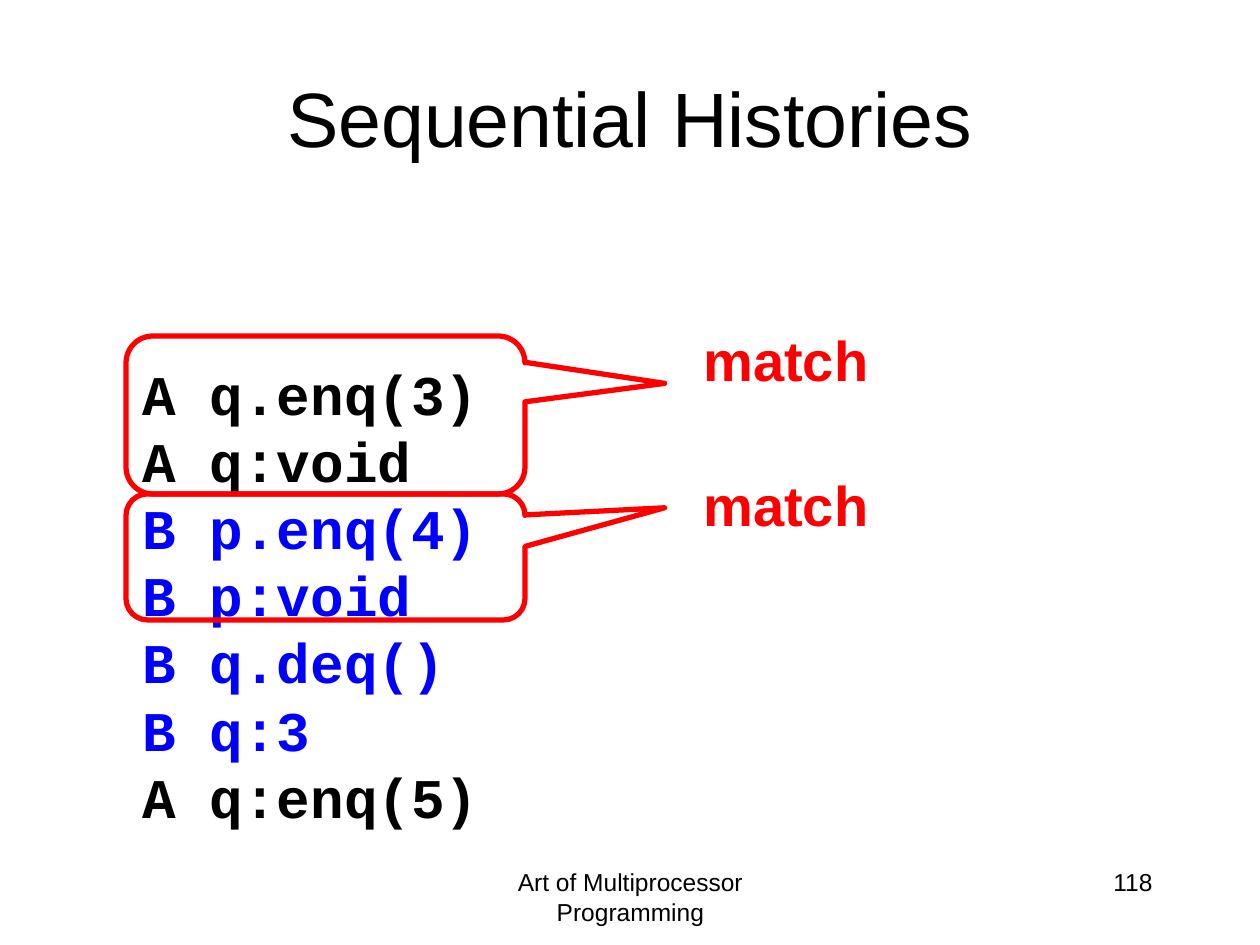
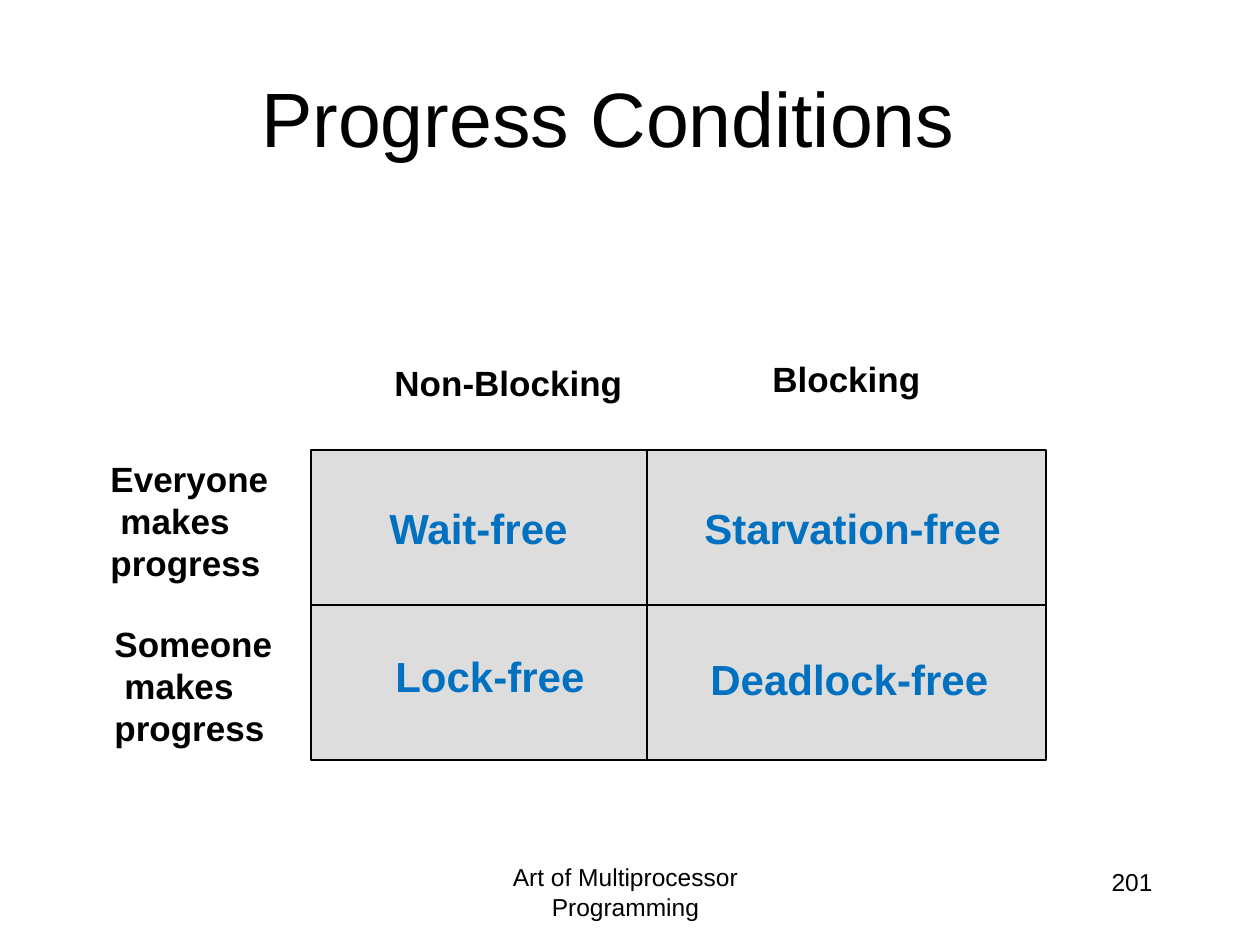
import pptx
import pptx.dml.color
import pptx.enum.shapes
import pptx.enum.text
import pptx.oxml
import pptx.oxml.ns
import pptx.util

EMU_PER_PX = 914400 / 126
TITLE_ONLY = 5
LINE_HEIGHT = 1.2

BLACK = pptx.dml.color.RGBColor(0x00, 0x00, 0x00)
RED = pptx.dml.color.RGBColor(0xFF, 0x00, 0x00)
BLUE = pptx.dml.color.RGBColor(0x00, 0x00, 0xFF)
SKY = pptx.dml.color.RGBColor(0x00, 0x70, 0xC0)
GREY = pptx.dml.color.RGBColor(0xDD, 0xDD, 0xDD)

SHAPES = pptx.enum.shapes.MSO_SHAPE
ALIGN = pptx.enum.text.PP_ALIGN
AUTO_SIZE = pptx.enum.text.MSO_AUTO_SIZE

TITLE_FORMAT = {"name": "Arial", "size": 44, "bold": False}
FOOTER_FORMAT = {"name": "Arial", "size": 14, "bold": False}
CODE_FORMAT = {"name": "Courier New", "size": 32, "bold": True}
MATCH_FORMAT = {"name": "Arial", "size": 32, "bold": True}
CELL_FORMAT = {"name": "Arial", "size": 24, "bold": True}
HEADING_FORMAT = {"name": "Arial", "size": 20, "bold": True}


def px(length):
    return pptx.util.Emu(round(length * EMU_PER_PX))


def write_lines(frame, lines, text_format, align=ALIGN.LEFT):
    """Fill a text frame with one paragraph for each (text, colour) pair."""
    for index, (text, colour) in enumerate(lines):
        para = frame.paragraphs[0] if index == 0 else frame.add_paragraph()
        para.alignment = align
        para.line_spacing = pptx.util.Pt(text_format["size"] * LINE_HEIGHT)
        span = para.add_run()
        span.text = text
        for attribute, value in text_format.items():
            setattr(span.font, attribute,
                    pptx.util.Pt(value) if attribute == "size" else value)
        span.font.color.rgb = colour


def add_text(shapes, bounds, lines, text_format, align=ALIGN.LEFT, wrap=True):
    """Add a text box; one that does not wrap grows to fit its text."""
    box = shapes.add_textbox(*map(px, bounds))
    frame = box.text_frame
    frame.word_wrap = wrap
    frame.auto_size = AUTO_SIZE.NONE if wrap else AUTO_SIZE.SHAPE_TO_FIT_TEXT
    write_lines(frame, lines, text_format, align)
    return box


def add_page(deck, title, number, footer_left=431, footer_top=861):
    page = deck.slides.add_slide(deck.slide_layouts[TITLE_ONLY])
    heading = page.shapes.title
    heading.left, heading.top, heading.width, heading.height = map(
        px, (63, 38, 1134, 157))
    frame = heading.text_frame
    frame.auto_size = AUTO_SIZE.NONE
    frame.vertical_anchor = pptx.enum.text.MSO_ANCHOR.MIDDLE
    write_lines(frame, [(title, BLACK)], TITLE_FORMAT, ALIGN.CENTER)
    add_text(page.shapes, (footer_left, footer_top, 399, 63),
             [("Art of Multiprocessor Programming", BLACK)],
             FOOTER_FORMAT, ALIGN.CENTER)
    add_text(page.shapes, (903, 861, 262, 63), [(number, BLACK)],
             FOOTER_FORMAT, ALIGN.RIGHT)
    return page


def add_match(page, top, height, tip, label_top):
    """Group a red callout around a call and its response with its label."""
    callout = page.shapes.add_shape(SHAPES.ROUNDED_RECTANGULAR_CALLOUT,
                                    *map(px, (126, top, 399, height)))
    callout.shadow.inherit = False
    for index, value in enumerate((0.85, tip, 0.17)):
        callout.adjustments[index] = value
    callout.fill.background()
    callout.line.color.rgb = RED
    callout.line.width = pptx.util.Pt(3)
    label = add_text(page.shapes, (689, label_top, 192, 81), [("match", RED)],
                     MATCH_FORMAT, ALIGN.RIGHT, wrap=False)
    page.shapes.add_group_shape([callout, label])


def add_line(page, start, end):
    line = page.shapes.add_connector(pptx.enum.shapes.MSO_CONNECTOR.STRAIGHT,
                                     *map(px, start + end))
    line.line.color.rgb = BLACK
    line.line.width = pptx.util.Pt(1)
    line._element.spPr.append(pptx.oxml.parse_xml(
        "<a:effectLst %s/>" % pptx.oxml.ns.nsdecls("a")))
    return line


def add_grid(page, left, top, width, height, divider):
    """Draw the matrix: two equal rows, and columns split at divider."""
    grid = page.shapes.add_shape(SHAPES.RECTANGLE,
                                 *map(px, (left, top, width, height)))
    grid.shadow.inherit = False
    grid.fill.solid()
    grid.fill.fore_color.rgb = GREY
    grid.line.color.rgb = BLACK
    grid.line.width = pptx.util.Pt(1)
    middle = top + height // 2
    row_line = add_line(page, (left, middle), (left + width, middle))
    row_line.begin_connect(grid, 1)
    row_line.end_connect(grid, 3)
    add_line(page, (divider, top + height), (divider, top))


def add_row_heading(page, left, top, who):
    lines = [(text, BLACK) for text in (who, "makes", "progress")]
    box = add_text(page.shapes, (left, top, 185, 140), lines,
                   HEADING_FORMAT, wrap=False)
    indent = box.text_frame.paragraphs[1]._p.get_or_add_pPr()
    indent.set("marL", str(px(10)))
    indent.set("indent", "0")


def build_histories(deck):
    page = add_page(deck, "Sequential Histories", "118")
    history = [("A q.enq(3)", BLACK), ("A q:void", BLACK),
               ("B p.enq(4)", BLUE), ("B p:void", BLUE),
               ("B q.deq()", BLUE), ("B q:3", BLUE), ("A q:enq(5)", BLACK)]
    code = add_text(page.shapes, (130, 346, 384, 488), history, CODE_FORMAT)
    code.text_frame.margin_top = px(13)
    add_match(page, 336, 158, -0.2, 319)
    add_match(page, 494, 126, -0.39, 464)


def build_conditions(deck):
    page = add_page(deck, "Progress Conditions", "201", 426, 856)
    page.shapes.title.text_frame.margin_right = px(56)
    add_grid(page, 311, 450, 735, 310, 647)
    for text, bounds in (("Wait-free", (377, 496, 205, 63)),
                         ("Lock-free", (383, 644, 217, 63)),
                         ("Starvation-free", (692, 496, 325, 63)),
                         ("Deadlock-free", (698, 647, 306, 63))):
        add_text(page.shapes, bounds, [(text, SKY)], CELL_FORMAT, wrap=False)
    for text, bounds in (("Non-Blocking", (382, 355, 256, 55)),
                         ("Blocking", (760, 351, 175, 55))):
        add_text(page.shapes, bounds, [(text, BLACK)], HEADING_FORMAT,
                 wrap=False)
    add_row_heading(page, 98, 451, "Everyone")
    add_row_heading(page, 102, 616, "Someone")


def main():
    deck = pptx.Presentation()
    deck.slide_width, deck.slide_height = px(1260), px(945)
    build_histories(deck)
    build_conditions(deck)
    deck.save("out.pptx")


if __name__ == "__main__":
    main()
